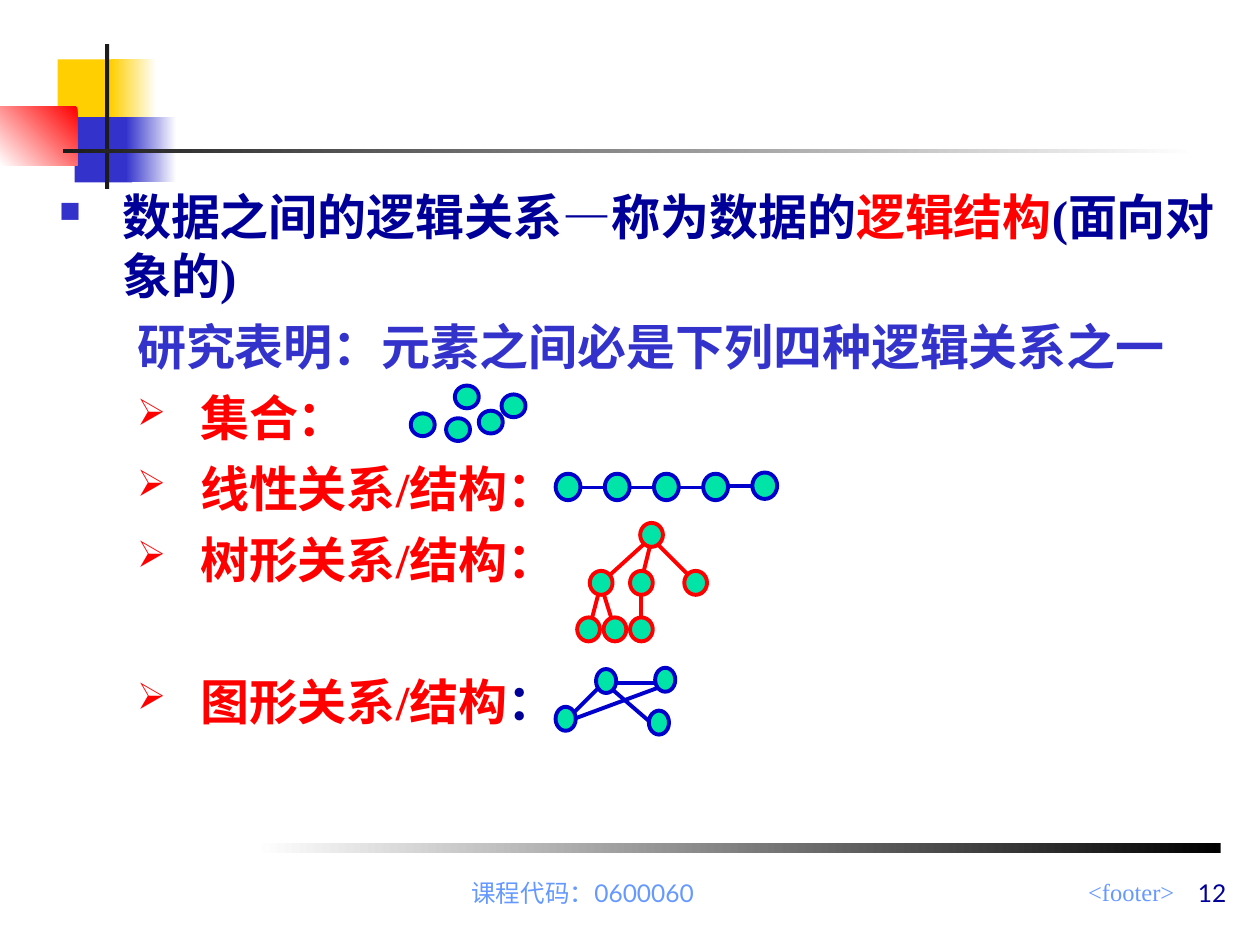
from lxml.etree import SubElement
from pptx import Presentation
from pptx.dml.color import RGBColor
from pptx.enum.shapes import MSO_CONNECTOR as Connector, MSO_SHAPE as Shape
from pptx.enum.text import MSO_ANCHOR as Anchor, PP_ALIGN as Align
from pptx.oxml.ns import qn
from pptx.util import Pt

COLORS = {
    "white": "FFFFFF", "black": "000000", "ink": "1C1C1C", "yellow": "FFCF01",
    "blue": "3333CC", "red": "FF0000", "navy": "000099", "edge": "0000CC",
    "node": "00E4A8", "footer": "6699FF",
}


def rgb(name):
    return RGBColor.from_string(COLORS[name])


class SlideBuilder:
    """Holds the fonts, sizes and slide shared by all elements."""
    body_font, body_size = "Times New Roman", 28
    small_font, small_size = "Lato", 14
    stroke = 2.25

    def __init__(self, slide):
        self.slide = slide

    def block(self, x, y, w, h, color, fade_to=None, angle=180):
        """Borderless rectangle, plain or fading between two colours."""
        rect = self.slide.shapes.add_shape(Shape.RECTANGLE, Pt(x), Pt(y), Pt(w), Pt(h))
        rect.shadow.inherit = False
        rect.line.fill.background()
        if fade_to is None:
            rect.fill.solid()
            rect.fill.fore_color.rgb = rgb(color)
            return
        rect.fill.gradient()
        rect.fill.gradient_angle = angle
        for stop, name, position in zip(rect.fill.gradient_stops, (color, fade_to), (0, 1)):
            stop.color.rgb = rgb(name)
            stop.position = position

    def text_box(self, x, y, w, h, margins=(7.2, 3.6), anchor=Anchor.TOP):
        frame = self.slide.shapes.add_textbox(Pt(x), Pt(y), Pt(w), Pt(h)).text_frame
        frame.word_wrap = True
        frame.vertical_anchor = anchor
        frame.margin_left = frame.margin_right = Pt(margins[0])
        frame.margin_top = frame.margin_bottom = Pt(margins[1])
        return frame

    def run(self, paragraph, text, color, font, size, bold=False):
        run = paragraph.add_run()
        run.text = text
        run.font.name, run.font.size, run.font.bold = font, Pt(size), bold
        run.font.color.rgb = rgb(color)

    def small_text(self, x, y, w, h, text, color, align, anchor=Anchor.BOTTOM, font=small_font):
        paragraph = self.text_box(x, y, w, h, anchor=anchor).paragraphs[0]
        paragraph.alignment = align
        self.run(paragraph, text, color, font, self.small_size)

    def body_line(self, paragraph, runs, left, before=0, bullet=None):
        """Hanging paragraph; bullet is (character, colour, percent)."""
        props = paragraph._p.get_or_add_pPr()
        props.set("marL", str(Pt(left)))
        props.set("indent", str(Pt(-36)))
        if bullet:
            char, color, percent = bullet
            SubElement(SubElement(props, qn("a:buClr")), qn("a:srgbClr"), val=COLORS[color])
            SubElement(props, qn("a:buSzPct"), val=str(percent * 1000))
            SubElement(props, qn("a:buChar"), char=char)
        else:
            SubElement(props, qn("a:buNone"))
        paragraph.space_before = Pt(before)
        for text, color in runs:
            self.run(paragraph, text, color, self.body_font, self.body_size, bold=True)

    def diagram(self, nodes, edges, node_size, color):
        """Grouped node-link figure; edges lie behind the nodes."""
        shapes = self.slide.shapes.add_group_shape().shapes
        for edge in edges:
            link = shapes.add_connector(Connector.STRAIGHT, *map(Pt, edge))
            SubElement(link._element.spPr, qn("a:effectLst"))
            self.outline(link, color)
        for x, y in nodes:
            node = shapes.add_shape(Shape.OVAL, Pt(x), Pt(y), *map(Pt, node_size))
            node.shadow.inherit = False
            node.fill.solid()
            node.fill.fore_color.rgb = rgb("node")
            self.outline(node, color)

    def outline(self, shape, color):
        shape.line.color.rgb = rgb(color)
        shape.line.width = Pt(self.stroke)


def add_decoration(builder):
    builder.block(33, 34, 34.5, 37.3, "yellow")
    builder.block(63.3, 34, 26, 37.3, "white", "yellow")
    builder.block(42.6, 67, 33, 37.3, "blue")
    builder.block(72, 67, 28.8, 37.3, "white", "blue")
    builder.block(0, 61, 44.2, 33.4, "red", "white", angle=225)
    builder.block(60, 25.2, 2.4, 82.8, "ink")
    builder.block(36, 85.2, 648, 2.3, "white", "ink")
    builder.block(145.5, 481.8, 552, 5.8, "black", "white")


def add_body(builder):
    square, arrow = ("■", "blue", 60), ("➢", "red", 75)
    # (runs, left indent, space before, bullet); the last gap leaves room for the tree
    lines = [
        ([("数据之间的逻辑关系—称为数据的", "navy"), ("逻辑结构", "red"),
          ("(面向对象的)", "navy")], 36, 0, square),
        ([("研究表明：元素之间必是下列四种逻辑关系之一", "blue")], 80.6, 7, None),
        ([("集合：", "red")], 80.6, 7, arrow),
        ([("线性关系/结构：", "red")], 80.6, 7, arrow),
        ([("树形关系/结构：", "red")], 80.6, 7, arrow),
        ([("图形关系/结构", "red"), ("：", "navy")], 80.6, 47.6, arrow),
    ]
    frame = builder.text_box(25.2, 102.2, 678.2, 319.7, margins=(8.6, 4.3))
    for index, line in enumerate(lines):
        paragraph = frame.add_paragraph() if index else frame.paragraphs[0]
        builder.body_line(paragraph, *line)


def add_tree(builder):
    root_y, child_y, leaf_y = 298.8, 326.2, 352.8
    nodes = [(365.8, root_y)]
    nodes += [(x, child_y) for x in (337, 360, 391)]
    nodes += [(x, leaf_y) for x in (329.8, 344.9, 360)]
    edges = [(371.5, 311.8, 367.9, child_y)]
    edges += [(x1, 311, x2, 331.2) for x1, x2 in ((367.9, 345.6), (375.8, 396))]
    edges += [(x1, 339.1, x2, leaf_y)
              for x1, x2 in ((342, 338.4), (344.9, 349.2), (366.5, 366.5))]
    builder.diagram(nodes, edges, (13, 13.7), "red")


def add_chain(builder):
    left, step, width = 317.5, 28.1, 14.2
    tops = [270.7] * 4 + [270]
    nodes = [(left + i * step, top) for i, top in enumerate(tops)]
    edges = [(x + width, top + 7.9, x + step, top + 7.9)
             for (x, _), top in zip(nodes, tops[1:])]
    builder.diagram(nodes, edges, (width, 15.1), "edge")


def add_set(builder):
    nodes = [(234.7, 236.2), (259.9, 220.3), (254.9, 239), (273.6, 234.7), (286.6, 225.4)]
    builder.diagram(nodes, [], (13.7, 13), "edge")


def add_graph(builder):
    nodes = [(317.5, 403.9), (340.6, 382.3), (374.4, 381.6), (370.8, 406.1)]
    edges = [(327.6, 407.5, 341.3, 393.8), (352.1, 390.2, 375.8, 390.2),
             (350.6, 394.6, 371.5, 412.6), (329, 410.4, 375.8, 393.1)]
    builder.diagram(nodes, edges, (11.5, 13.7), "edge")


def main():
    deck = Presentation()
    deck.slide_width, deck.slide_height = Pt(720), Pt(540)
    builder = SlideBuilder(deck.slides.add_slide(deck.slide_layouts[6]))
    add_decoration(builder)
    builder.small_text(264.2, 497.5, 414, 18.7, "<footer>", "footer", Align.RIGHT,
                       Anchor.TOP, builder.body_font)
    builder.small_text(252, 497.5, 162, 24.5, "课程代码：0600060", "footer", Align.CENTER)
    add_body(builder)
    add_tree(builder)
    add_chain(builder)
    add_set(builder)
    add_graph(builder)
    builder.small_text(473.8, 486, 234, 36, "12", "navy", Align.RIGHT)
    deck.save("out.pptx")


if __name__ == "__main__":
    main()
